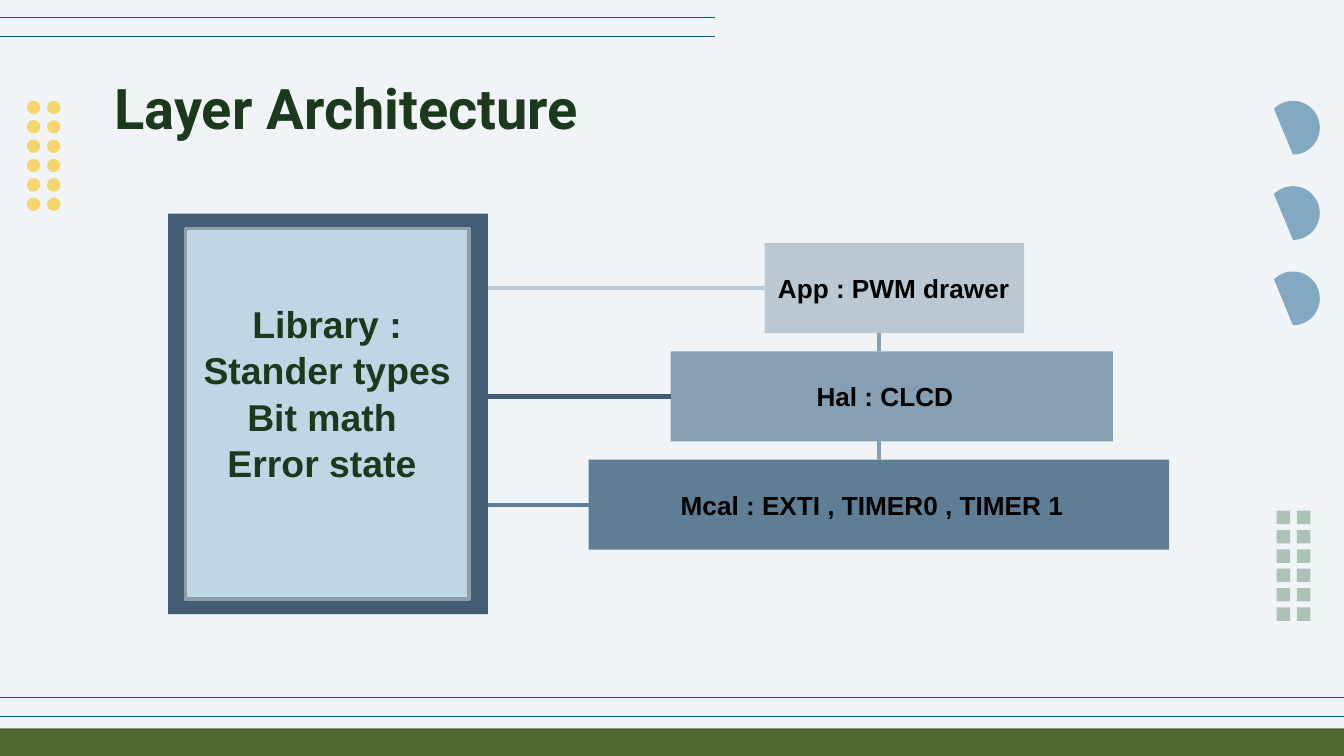
from pptx import Presentation
from pptx.dml.color import RGBColor
from pptx.enum.shapes import MSO_CONNECTOR, MSO_SHAPE
from pptx.enum.text import MSO_ANCHOR, MSO_AUTO_SIZE, PP_ALIGN
from pptx.oxml.ns import qn
from pptx.util import Pt
from lxml import etree

RECT, OVAL, CHORD = MSO_SHAPE.RECTANGLE, MSO_SHAPE.OVAL, MSO_SHAPE.CHORD
STRAIGHT = MSO_CONNECTOR.STRAIGHT
TOP, MIDDLE = MSO_ANCHOR.TOP, MSO_ANCHOR.MIDDLE
LEFT, CENTER = PP_ALIGN.LEFT, PP_ALIGN.CENTER
NO_AUTOFIT = MSO_AUTO_SIZE.NONE

PX = 9144  # EMU per px, 100 px to the inch
SLIDE_W = 1000
COLORS = {
    "background": "F0F4F7", "rule": "025D82", "footer": "4E6730",
    "dots": "F5D66E", "squares": "ACC2B6", "chords": "83A8C2",
    "heading": "1B391D", "text": "000000", "frame": "435D74",
    "panel": "BFD6E4", "panel_line": "8D9EA9",
    "app": "BAC8D3", "hal": "869FB2", "mcal": "5F7D95",
}


def px(n):
    return round(n * PX)


def rgb(name):
    return RGBColor.from_string(COLORS[name])


def add_box(slide, kind, box, fill, line=None, width=2):
    sp = slide.shapes.add_shape(kind, *map(px, box))
    sp.shadow.inherit = False
    sp.fill.solid()
    sp.fill.fore_color.rgb = rgb(fill)
    if line:
        sp.line.color.rgb = rgb(line)
        sp.line.width = Pt(width)
    else:
        sp.line.fill.background()
    return sp


def add_line(slide, start, end, color, width):
    cx = slide.shapes.add_connector(STRAIGHT, *map(px, start + end))
    cx.line.color.rgb = rgb(color)
    cx.line.width = Pt(width)
    etree.SubElement(cx._element.spPr, qn("a:effectLst"))
    return cx


def write(sp, lines, size, color, font="Arial", align=CENTER, anchor=MIDDLE,
          right=10, bottom=10, spacing=None):
    """Fill a shape with bold lines, one paragraph each."""
    tf = sp.text_frame
    tf.word_wrap = True
    tf.auto_size = NO_AUTOFIT
    tf.vertical_anchor = anchor
    tf.margin_left = tf.margin_top = px(10)
    tf.margin_right, tf.margin_bottom = px(right), px(bottom)
    for i, line in enumerate(lines):
        p = tf.add_paragraph() if i else tf.paragraphs[0]
        p.alignment = align
        p.line_spacing = spacing
        r = p.add_run()
        r.text = line
        r.font.name, r.font.size, r.font.bold = font, Pt(size), True
        r.font.color.rgb = rgb(color)


def add_title(slide, box, text):
    title = slide.shapes.title
    title.left, title.top, title.width, title.height = map(px, box)
    write(title, [text], 30, "heading", "Roboto", LEFT, TOP)


def add_marks(slide, box, kind, color):
    """Two columns of six small marks, spread over the box."""
    x, y, w, h = box
    size, cols, rows = 10, 2, 6
    for row in range(rows):
        for col in range(cols):
            left = x + col * (w - size) / (cols - 1)
            top = y + row * (h - size) / (rows - 1)
            add_box(slide, kind, (left, top, size, size), color)


def add_chords(slide, box):
    x, y, w, h = box
    count = 3
    for i in range(count):
        top = y + i * (h - w) / (count - 1)
        add_box(slide, CHORD, (x, top, w, w), "chords").rotation = 180


def add_rules(slide, box):
    """Two thin lines along the top and bottom edges of the box."""
    x, y, w, h = box
    for top in (y, y + h):
        add_line(slide, (x, top), (x + w, top), "rule", 0.75)


def add_library(slide, box):
    """Framed panel listing the shared library; returns its frame."""
    x, y, w, h = box
    frame = add_box(slide, RECT, box, "frame")
    panel = add_box(slide, RECT, (x + 13, y + 11, w - 27, h - 22),
                    "panel", "panel_line")
    lines = ["Library :", "Stander types ", "Bit math ", "Error state "]
    write(panel, lines, 20, "heading", bottom=42, spacing=1.03)
    return frame


def add_layers(slide, box, frame_right):
    """Stacked layers, each tied to the library frame and the one above."""
    x, y, w, h = box
    layer_h = 67
    pitch = (h - layer_h) / 2
    trunk_x = x + 216
    layers = [
        ("App : PWM drawer", 131, 193, "app", "app", LEFT, 0),
        ("Hal : CLCD", 61, 329, "hal", "frame", CENTER, 20),
        ("Mcal : EXTI , TIMER0 , TIMER 1", 0, w, "mcal", "mcal", CENTER, 20),
    ]
    for i, (text, dx, width, fill, link, align, right) in enumerate(layers):
        top = y + i * pitch
        sp = add_box(slide, RECT, (x + dx, top, width, layer_h), fill)
        write(sp, [text], 14, "text", align=align, right=right)
        mid = top + layer_h / 2
        cx = add_line(slide, (frame_right, mid), (x + dx, mid), link, 2.25)
        cx.end_connect(sp, 1)
        if i:
            add_line(slide, (trunk_x, top - pitch + layer_h), (trunk_x, top),
                     "hal", 2.25)


def main():
    prs = Presentation()
    prs.slide_width = px(SLIDE_W)
    prs.slide_height = prs.slide_width * 9 // 16
    slide = prs.slides.add_slide(prs.slide_layouts[5])
    slide.background.fill.solid()
    slide.background.fill.fore_color.rgb = rgb("background")

    add_chords(slide, (942, 75, 40, 167))
    add_rules(slide, (0, 13, 532, 14))
    add_rules(slide, (0, 519, SLIDE_W, 14))
    add_box(slide, RECT, (0, 542, SLIDE_W, 20.5), "footer")
    add_marks(slide, (20, 75, 25, 82), OVAL, "dots")
    add_marks(slide, (950, 380, 25, 82), RECT, "squares")

    add_title(slide, (75, 45, 843, 63), "Layer Architecture")
    library = (125, 159, 238, 298)
    add_library(slide, library)
    add_layers(slide, (438, 181, 432, 228), library[0] + library[2])
    prs.save("out.pptx")


if __name__ == "__main__":
    main()
